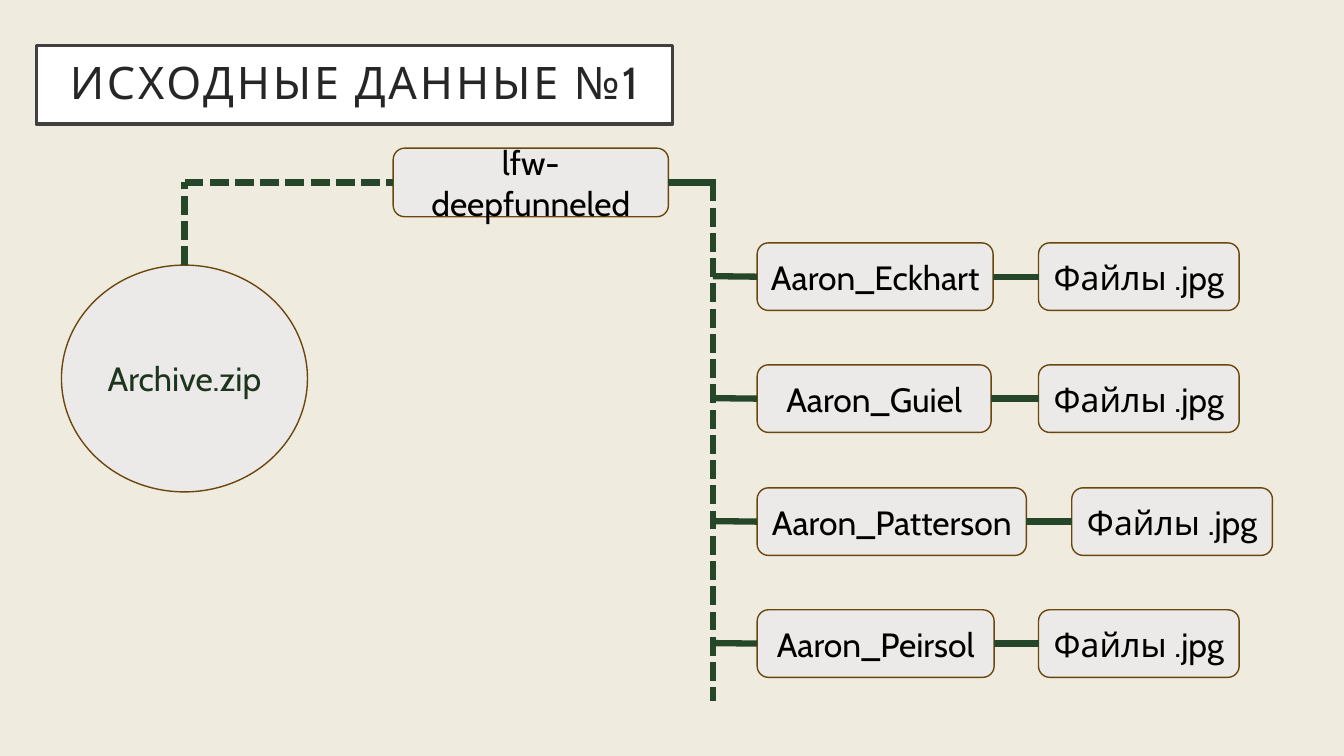
from lxml import etree
from pptx import Presentation
from pptx import util as u
from pptx.dml.color import RGBColor
from pptx.enum import dml, shapes, text
from pptx.oxml.ns import qn

PX = 9144  # EMU per px, 100 px to the inch
FONT = "Cabin"

CREAM = RGBColor(0xEF, 0xEB, 0xDF)
WHITE = RGBColor(0xFF, 0xFF, 0xFF)
GREY = RGBColor(0xEC, 0xEA, 0xE8)
BROWN = RGBColor(0x6C, 0x47, 0x0D)
GREEN = RGBColor(0x26, 0x46, 0x29)
DARK_GREEN = RGBColor(0x1D, 0x35, 0x1F)
CHARCOAL = RGBColor(0x40, 0x40, 0x40)
TITLE_INK = RGBColor(0x26, 0x26, 0x26)
BLACK = RGBColor(0x00, 0x00, 0x00)

RECT = shapes.MSO_SHAPE.RECTANGLE
ROUNDED = shapes.MSO_SHAPE.ROUNDED_RECTANGLE
OVAL = shapes.MSO_SHAPE.OVAL
TOP, LEFT, RIGHT = 0, 1, 3
DASHED = dml.MSO_LINE.SQUARE_DOT
LONG_DASH = dml.MSO_LINE.DASH_DOT_DOT

# Folder name, folder width, left edge of its files box
FOLDERS = [
    ("Aaron_Eckhart", 234, 1030),
    ("Aaron_Guiel", 232, 1030),
    ("Aaron_Patterson", 267, 1063),
    ("Aaron_Peirsol", 235, 1030),
]
FOLDER_LEFT, FIRST_TOP, ROW_PITCH = 751, 241, 121.33
BOX_HEIGHT, FILES_WIDTH = 67, 199
TRUNK_X, TRUNK_TOP, TRUNK_BOTTOM = 707, 181, 695


def write(shape, words, size=24, color=BLACK, tracking=None, spacing=None):
    frame = shape.text_frame
    frame.word_wrap = True
    frame.vertical_anchor = text.MSO_ANCHOR.MIDDLE
    para = frame.paragraphs[0]
    para.alignment = text.PP_ALIGN.CENTER
    if spacing:
        para.line_spacing = spacing
    run = para.add_run()
    run.text = words
    run.font.name = FONT
    run.font.size = u.Pt(size)
    run.font.color.rgb = color
    if tracking:
        run._r.get_or_add_rPr().set("spc", str(tracking * 100))


def add_box(slide, kind, left, top, width, height,
            fill=GREY, line=BROWN, weight=1):
    box = slide.shapes.add_shape(
        kind, *(v * PX for v in (left, top, width, height)))
    box.shadow.inherit = False
    box.fill.solid()
    box.fill.fore_color.rgb = fill
    box.line.color.rgb = line
    box.line.width = u.Pt(weight)
    return box


def add_link(slide, start, end, dash=LONG_DASH):
    """Each end is an (x, y) point or a (shape, side) pair."""
    link = slide.shapes.add_connector(
        shapes.MSO_CONNECTOR.STRAIGHT, 0, 0, 0, 0)
    if isinstance(start[0], int):
        link.begin_x, link.begin_y = (v * PX for v in start)
    else:
        link.begin_connect(*start)
    if isinstance(end[0], int):
        link.end_x, link.end_y = (v * PX for v in end)
    else:
        link.end_connect(*end)
    link.line.color.rgb = GREEN
    link.line.width = u.Pt(4.5)
    link.line.dash_style = dash
    etree.SubElement(link._element.spPr, qn("a:effectLst"))


def add_title(slide):
    title = add_box(slide, RECT, 36, 45, 631, 78, WHITE, CHARCOAL, 2.5)
    frame = title.text_frame
    frame.margin_left = frame.margin_right = 20 * PX
    frame.margin_top = frame.margin_bottom = 20 * PX
    write(title, "ИСХОДНЫЕ ДАННЫЕ №1", size=32, color=TITLE_INK,
          tracking=2, spacing=0.9)


def add_folder_row(slide, top, name, width, files_left):
    middle = top + BOX_HEIGHT // 2
    folder = add_box(slide, ROUNDED, FOLDER_LEFT, top, width, BOX_HEIGHT)
    write(folder, name)
    files = add_box(slide, ROUNDED, files_left, top, FILES_WIDTH, BOX_HEIGHT)
    write(files, "Файлы .jpg")
    add_link(slide, (TRUNK_X, middle), (folder, LEFT))
    add_link(slide, (folder, RIGHT), (files, LEFT))


def main():
    deck = Presentation()
    deck.slide_width, deck.slide_height = u.Inches(13.33), u.Inches(7.5)
    slide = deck.slides.add_slide(deck.slide_layouts[6])
    slide.background.fill.solid()
    slide.background.fill.fore_color.rgb = CREAM

    add_title(slide)

    # Archive and the root folder it unpacks to
    archive = add_box(slide, OVAL, 61, 263, 244, 225)
    write(archive, "Archive.zip", color=DARK_GREEN)
    root = add_box(slide, ROUNDED, 390, 147, 273, 68)
    write(root, "lfw-deepfunneled")
    corner = (183, TRUNK_TOP)
    add_link(slide, (archive, TOP), corner, DASHED)
    add_link(slide, corner, (root, LEFT), DASHED)

    # Trunk with one branch per folder
    add_link(slide, (TRUNK_X + 3, TRUNK_TOP), (root, RIGHT))
    add_link(slide, (TRUNK_X, TRUNK_TOP), (TRUNK_X, TRUNK_BOTTOM), DASHED)
    for row, folder in enumerate(FOLDERS):
        add_folder_row(slide, FIRST_TOP + round(row * ROW_PITCH), *folder)

    deck.save("out.pptx")


if __name__ == "__main__":
    main()
